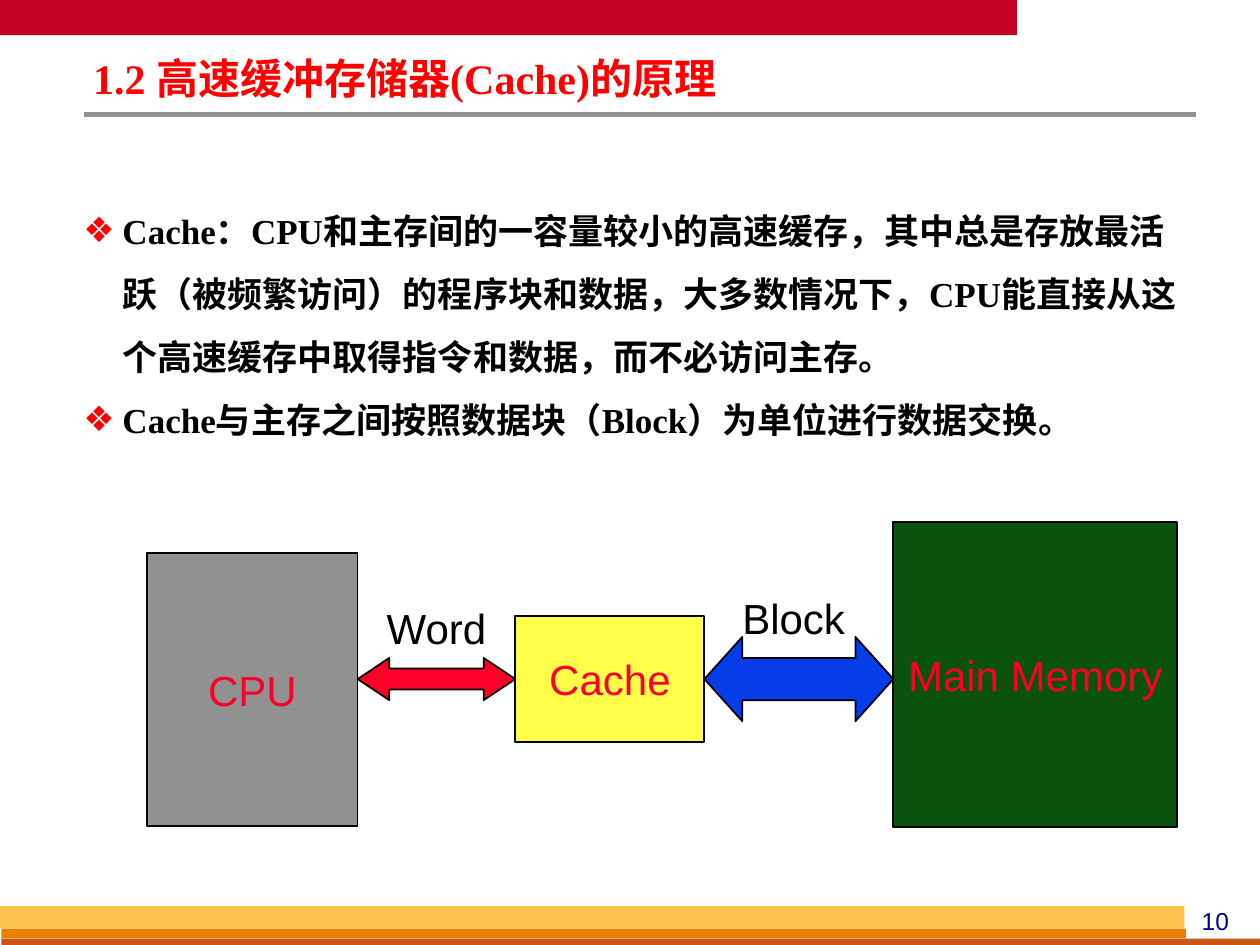
from lxml.etree import SubElement
from pptx import Presentation
from pptx.dml.color import RGBColor
from pptx.enum.shapes import MSO_CONNECTOR as Connector, MSO_SHAPE as Shape
from pptx.enum.text import MSO_ANCHOR as Anchor, PP_ALIGN as Align
from pptx.oxml.ns import qn
from pptx.util import Cm, Pt

RED, INK = "FC0128", "000000"
TIMES = {"name": "Times New Roman", "bold": True}
ARIAL = {"name": "Arial", "size": Pt(24)}
TIGHT = {"margin_left": Cm(0.18), "margin_right": Cm(0.18),
         "margin_top": Cm(0.08), "margin_bottom": Cm(0.08)}


def color(hex_value):
    return RGBColor.from_string(hex_value)


def set_all(target, values):
    for key, value in values.items():
        setattr(target, key, value)


def write(frame, paragraphs, font, ink, layout, bullet=None):
    """Fill a text frame, one paragraph per string."""
    for index, text in enumerate(paragraphs):
        para = frame.paragraphs[0] if index == 0 else frame.add_paragraph()
        set_all(para, layout)
        if bullet:
            add_bullet(para, bullet)
        run = para.add_run()
        run.text = text
        set_all(run.font, font)
        run.font.color.rgb = color(ink)


def add_bullet(para, mark):
    props = para._p.get_or_add_pPr()
    props.set("marL", str(Cm(0.79)))
    props.set("indent", str(-Cm(0.79)))
    tint = SubElement(props, qn("a:buClr"))
    SubElement(tint, qn("a:srgbClr"), val="FF0000")
    SubElement(props, qn("a:buFont"), typeface="Arial")
    SubElement(props, qn("a:buChar"), char=mark)


def add_text(shapes, box, paragraphs, font, ink, layout, insets=None, bullet=None):
    frame = shapes.add_textbox(*map(Cm, box)).text_frame
    frame.word_wrap = True
    set_all(frame, insets or {})
    write(frame, paragraphs, font, ink, layout, bullet)


def add_block(shapes, kind, box, fill, outlined=True):
    block = shapes.add_shape(kind, *map(Cm, box))
    block.shadow.inherit = False
    block.fill.solid()
    block.fill.fore_color.rgb = color(fill)
    if outlined:
        block.line.color.rgb = color(INK)
        block.line.width = Pt(1)
    else:
        block.line.fill.background()
    return block


def add_unit(shapes, label, box, fill):
    frame = add_block(shapes, Shape.RECTANGLE, box, fill).text_frame
    set_all(frame, {"word_wrap": False, "vertical_anchor": Anchor.MIDDLE})
    write(frame, [label], ARIAL, RED, {"alignment": Align.CENTER})


def add_bus(shapes, source, target, middle, height, fill, head):
    """Double arrow that spans the gap between two units."""
    left = source[0] + source[2]
    box = (left, middle - height / 2, target[0] - left, height)
    bus = add_block(shapes, Shape.LEFT_RIGHT_ARROW, box, fill)
    bus.adjustments[0], bus.adjustments[1] = 0.5, head


def add_rule(shapes, left, right, y):
    rule = shapes.add_connector(Connector.STRAIGHT, Cm(left), Cm(y), Cm(right), Cm(y))
    rule.line.color.rgb = color("919191")
    rule.line.width = Pt(3)
    SubElement(rule._element.spPr, qn("a:effectLst"))


def add_frame(shapes):
    bands = [((0, 0, 20.5, 0.71), "C30224"),
             ((0.03, 18.72, 23.88, 0.2), "E88000"),
             ((0.03, 18.92, 25.37, 0.13), "C95616"),
             ((0, 18.26, 23.88, 0.46), "FCC24F")]
    for box, fill in bands:
        add_block(shapes, Shape.RECTANGLE, box, fill, outlined=False)
    add_rule(shapes, 1.7, 24.1, 2.31)
    add_text(shapes, (23.7, 18.14, 1.6, 0.84), ["10"],
             {"name": "Arial", "size": Pt(14)}, "000099", {"alignment": Align.CENTER})


def add_diagram(shapes):
    cpu = (2.97, 11.15, 4.24, 5.51)
    cache = (10.39, 12.42, 3.81, 2.54)
    memory = (18.01, 10.52, 5.72, 6.15)
    add_unit(shapes, "CPU", cpu, "919191")
    add_unit(shapes, "Cache", cache, "FFFF49")
    add_unit(shapes, "Main Memory", memory, "0A520D")

    middle = cache[1] + cache[3] / 2
    add_bus(shapes, cpu, cache, middle, 0.85, RED, 0.75)
    add_bus(shapes, cache, memory, middle, 1.7, "063DE8", 0.45)

    for label, box in (("Word", (7.21, 12.03, 3.18, 1.27)),
                       ("Block", (14.2, 11.81, 3.6, 1.27))):
        add_text(shapes, box, [label], ARIAL, INK, {"alignment": Align.CENTER})


def main():
    deck = Presentation()
    deck.slide_width, deck.slide_height = Cm(25.4), Cm(19.05)
    shapes = deck.slides.add_slide(deck.slide_layouts[6]).shapes

    # Bands, rule and page number
    add_frame(shapes)

    # Title and explanation
    add_text(shapes, (1.7, 1.12, 14.6, 1.04), ["1.2 高速缓冲存储器(Cache)的原理"],
             {**TIMES, "size": Pt(24)}, "FF0000", {"line_spacing": 0.87}, TIGHT)
    points = [
        "Cache：CPU和主存间的一容量较小的高速缓存，其中总是存放最活跃（被频繁访问）的程序块和数据，"
        "大多数情况下，CPU能直接从这个高速缓存中取得指令和数据，而不必访问主存。",
        "Cache与主存之间按照数据块（Block）为单位进行数据交换。",
    ]
    add_text(shapes, (1.5, 3.73, 22.86, 5.28), points, {**TIMES, "size": Pt(20)},
             INK, {"line_spacing": 1.5}, TIGHT, "❖")

    # Data path from CPU to main memory
    add_diagram(shapes.add_group_shape().shapes)

    deck.save("out.pptx")


if __name__ == "__main__":
    main()
